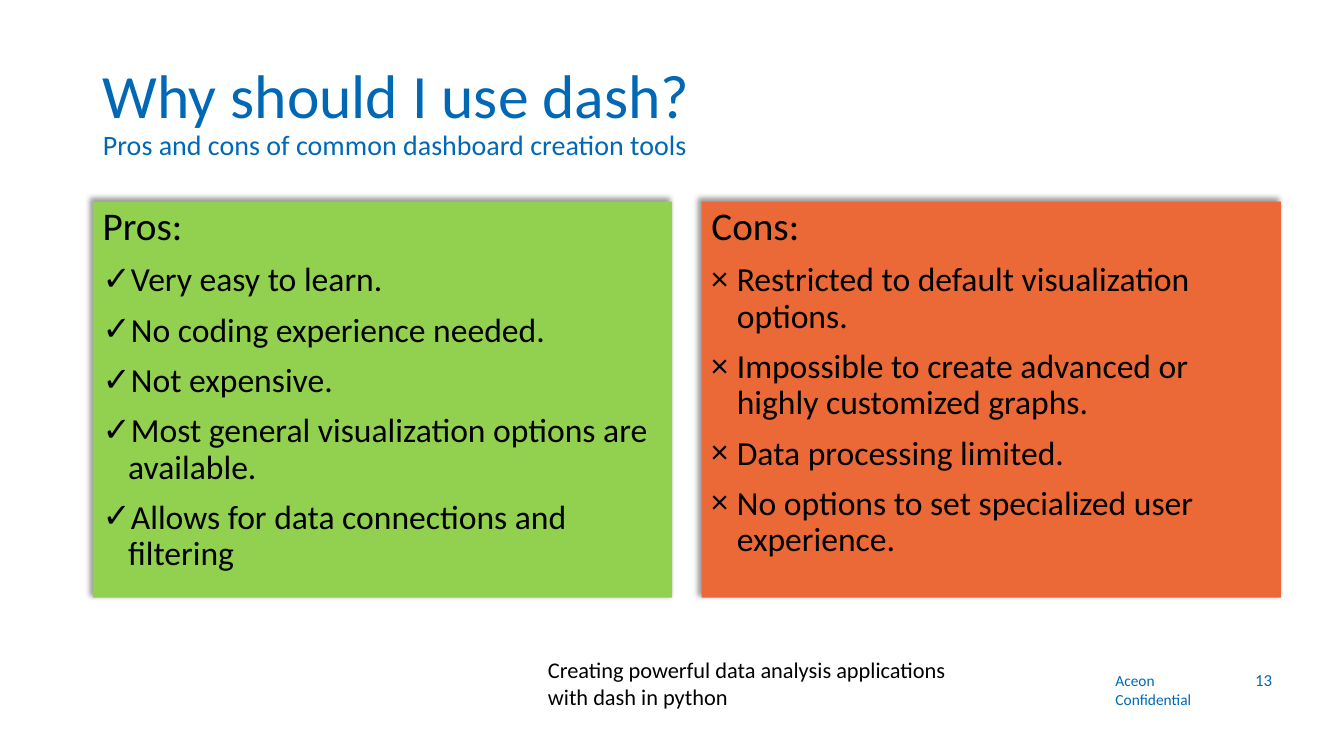
from dataclasses import dataclass

from lxml.etree import SubElement as Sub
from pptx import Presentation
from pptx.dml.color import RGBColor as Rgb
from pptx.enum.shapes import MSO_SHAPE as Kind
from pptx.enum.text import MSO_ANCHOR as Anchor, MSO_AUTO_SIZE as Fit, PP_ALIGN as Align
from pptx.oxml.ns import qn
from pptx.util import Cm, Pt


@dataclass(frozen=True)
class Theme:
    font: str = "Calibri"
    blue: str = "0068B5"
    black: str = "000000"
    green: str = "92D050"
    orange: str = "EA6936"
    title: int = 44
    sub: int = 20
    head: int = 28
    item: int = 24
    foot: int = 16
    page: int = 12
    mark: int = 11


THEME = Theme()
INDENT = Cm(0.64)


def apply(item, form):
    for key, value in form.items():
        setattr(item, key, value)


def place(item, box):
    apply(item, dict(zip(("left", "top", "width", "height"), map(Cm, box))))


def write(para, text, size, color, **form):
    """Add a styled run to a paragraph and format the paragraph."""
    run = para.add_run()
    run.text = text
    apply(run.font, {"name": THEME.font, "size": Pt(size)})
    run.font.color.rgb = Rgb.from_string(color)
    apply(para, form)


def lines(frame, texts):
    """Yield each text with its paragraph."""
    for i, text in enumerate(texts):
        yield (frame.add_paragraph() if i else frame.paragraphs[0]), text


def bullet(para, char):
    props = para._p.get_or_add_pPr()
    props.set("marL", str(INDENT))
    props.set("indent", str(-INDENT))
    Sub(props, qn("a:buFont"), typeface=THEME.font)
    Sub(props, qn("a:buChar"), char=char)


def shade(shape):
    """Soft shadow towards the upper left."""
    shape.shadow.inherit = False
    effects = shape._element.spPr.find(qn("a:effectLst"))
    outer = Sub(effects, qn("a:outerShdw"), blurRad=str(Pt(4)), dist=str(Pt(3)),
                dir=str(225 * 60000), algn="br", rotWithShape="0")
    color = Sub(outer, qn("a:srgbClr"), val=THEME.black)
    Sub(color, qn("a:alpha"), val="40000")


def header(slide, box, title, sub):
    shape = slide.shapes.title
    place(shape, box)
    frame = shape.text_frame
    apply(frame, {"word_wrap": True, "auto_size": Fit.NONE, "vertical_anchor": Anchor.MIDDLE})
    para = frame.paragraphs[0]
    write(para, title, THEME.title, THEME.blue, alignment=Align.LEFT, line_spacing=0.9)
    para.add_line_break()
    write(para, sub, THEME.sub, THEME.blue)


def panel(slide, box, fill, head, char, items):
    shape = slide.shapes.add_shape(Kind.RECTANGLE, *map(Cm, box))
    shape.fill.solid()
    shape.fill.fore_color.rgb = Rgb.from_string(fill)
    shape.line.fill.background()
    shade(shape)
    frame = shape.text_frame
    apply(frame, {"word_wrap": True, "vertical_anchor": Anchor.TOP})
    form = {"alignment": Align.LEFT, "line_spacing": 0.9}
    write(frame.paragraphs[0], head, THEME.head, THEME.black, **form)
    for text in items:
        para = frame.add_paragraph()
        bullet(para, char)
        write(para, text, THEME.item, THEME.black, space_before=Pt(10), **form)


def label(slide, box, texts, size, color, align=Align.LEFT, anchor=Anchor.TOP):
    frame = slide.shapes.add_textbox(*map(Cm, box)).text_frame
    apply(frame, {"word_wrap": True, "vertical_anchor": anchor})
    for para, text in lines(frame, texts):
        write(para, text, size, color, alignment=align)


def footer(slide, box):
    left, top, width, height = box
    # Talk name
    label(slide, (left, top, width, height),
          ["Creating powerful data analysis applications", "with dash in python"],
          THEME.foot, THEME.black)
    # Notice and page number
    label(slide, (left + 14.3, top + 0.38, 3.33, 0.74), ["Aceon Confidential"],
          THEME.mark, THEME.blue)
    label(slide, (left + 11.13, top + 0.2, 7.62, 1.02), ["13"],
          THEME.page, THEME.blue, Align.RIGHT, Anchor.MIDDLE)


def main():
    deck = Presentation()
    apply(deck, {"slide_width": Cm(33.87), "slide_height": Cm(19.05)})
    slide = deck.slides.add_slide(deck.slide_layouts[5])

    header(slide, (2.34, 1.02, 29.21, 3.68), "Why should I use dash?",
           "Pros and cons of common dashboard creation tools")

    # Two panels side by side
    left, top, width, height, gap = 2.34, 5.08, 14.6, 9.98, 0.74
    panels = [
        (THEME.green, "Pros:", "✓", [
            "Very easy to learn.",
            "No coding experience needed.",
            "Not expensive.",
            "Most general visualization options are available.",
            "Allows for data connections and filtering"]),
        (THEME.orange, "Cons:", "×", [
            "Restricted to default visualization options.",
            "Impossible to create advanced or highly customized graphs.",
            "Data processing limited.",
            "No options to set specialized user experience."]),
    ]
    for i, parts in enumerate(panels):
        panel(slide, (left + i * (width + gap), top, width, height), *parts)

    footer(slide, (13.56, 16.41, 15.39, 1.63))
    deck.save("out.pptx")


if __name__ == "__main__":
    main()
